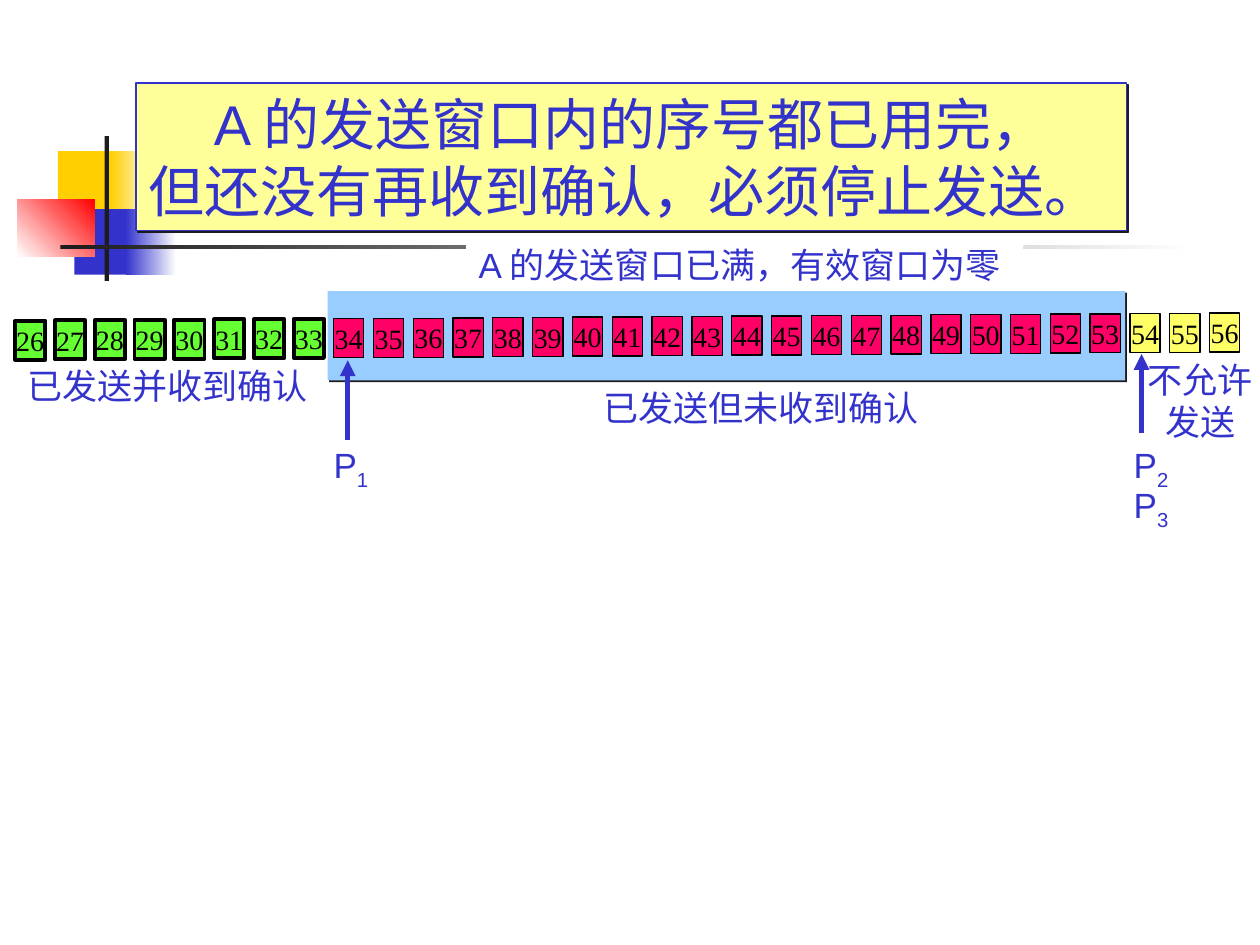
import lxml.etree
import pptx
import pptx.dml.color
import pptx.enum.shapes
import pptx.enum.text
import pptx.oxml
import pptx.oxml.ns
import pptx.util

COLORS = {
    "gold": "FFCF01", "blue": "3333CC", "red": "FF0000", "ink": "1C1C1C",
    "white": "FFFFFF", "black": "000000", "window": "99CCFF", "title": "FFFF99",
    "acked": "66FF33", "sent": "FF0066", "blocked": "FFFF66",
}
RGB = {name: pptx.dml.color.RGBColor.from_string(value) for name, value in COLORS.items()}
ALIGN = pptx.enum.text.PP_ALIGN
ANCHOR = pptx.enum.text.MSO_ANCHOR
qn = pptx.oxml.ns.qn

presentation = pptx.Presentation()
presentation.slide_width = pptx.util.Inches(10)
presentation.slide_height = pptx.util.Inches(7.5)
slide = presentation.slides.add_slide(presentation.slide_layouts[6])

# Grid of 100 columns by 75 rows
UNIT = presentation.slide_width / 100


def add_box(place, fill=None, fade=None, angle=0, line=None, weight=0.75):
    """Rectangle on the grid, plain or fading; a text box when it has no fill."""
    lengths = [round(value * UNIT) for value in place]
    if not fill:
        return slide.shapes.add_textbox(*lengths)
    shape = slide.shapes.add_shape(pptx.enum.shapes.MSO_SHAPE.RECTANGLE, *lengths)
    shape.shadow.inherit = False
    if fade:
        shape.fill.gradient()
        shape.fill.gradient_angle = angle
        for stop, color, position in zip(shape.fill.gradient_stops, (fill, fade), (0, 1)):
            stop.color.rgb = RGB[color]
            stop.position = position
    else:
        shape.fill.solid()
        shape.fill.fore_color.rgb = RGB[fill]
    if line:
        shape.line.color.rgb = RGB[line]
        shape.line.width = pptx.util.Pt(weight)
    else:
        shape.line.fill.background()
    return shape


def write(shape, lines, size=20, font="Arial", color="blue", align=ALIGN.CENTER,
          anchor=ANCHOR.TOP):
    """Unwrapped text; an underscore in a line starts a subscript."""
    frame = shape.text_frame
    frame.word_wrap = False
    frame.auto_size = pptx.enum.text.MSO_AUTO_SIZE.NONE
    frame.vertical_anchor = anchor
    for index, line in enumerate(lines):
        paragraph = frame.add_paragraph() if index else frame.paragraphs[0]
        paragraph.alignment = align
        paragraph.font.size = pptx.util.Pt(size)
        paragraph.font.name = font
        paragraph.font.color.rgb = RGB[color]
        for part, text in enumerate(line.split("_")):
            run = paragraph.add_run()
            run.text = text
            if part:
                run._r.get_or_add_rPr().set("baseline", "-25000")


# Corner ornament and rule
for place, fill, fade, angle in [
    ((4.6, 12, 4.8, 5.2), "gold", None, 0),
    ((8.8, 12, 3.6, 5.2), "gold", "white", 0),
    ((5.9, 16.6, 4.6, 5.2), "blue", None, 0),
    ((10, 16.6, 4, 5.2), "blue", "white", 0),
    ((1.4, 15.8, 6.1, 4.6), "white", "red", 45),
    ((8.3, 10.8, 0.35, 11.5), "ink", None, 0),
    ((4.8, 19.45, 90, 0.35), "ink", "white", 0),
]:
    add_box(place, fill, fade, angle)

# Labels around the window
for place, fill, lines, align in [
    ((90.1, 28, 10.3, 7.7), None, ["不允许", "发送"], ALIGN.CENTER),
    ((1.2, 28.4, 24.2, 4.4), "white", ["已发送并收到确认"], ALIGN.CENTER),
    ((37, 18.8, 44.2, 4.4), "white", ["A 的发送窗口已满，有效窗口为零"], ALIGN.LEFT),
    ((46.9, 30.2, 27, 4.4), None, ["已发送但未收到确认"], ALIGN.LEFT),
]:
    write(add_box(place, fill), lines, align=align)

# Send window
window = add_box((26, 23.1, 63.3, 7.1), "window")

# Sequence numbers: equal columns on a slightly rising row
FIRST, LAST = 26, 56
CELL_PITCH, CELL_RISE = 3.16, 0.02
for number in range(FIRST, LAST + 1):
    step = number - FIRST
    state = "acked" if number < 34 else "sent" if number < 54 else "blocked"
    cell = add_box((1.2 + step * CELL_PITCH, 25.45 - step * CELL_RISE, 2.4, 3.1), state,
                   line="black", weight=2.25 if state == "acked" else 0.75)
    write(cell, [str(number)], 16, "Times New Roman", "black", anchor=ANCHOR.MIDDLE)

# Pointer arrows
for column, bottom, top in [(27.6, 34.9, 28.6), (90.6, 34.4, 28.1)]:
    arrow = slide.shapes.add_connector(
        pptx.enum.shapes.MSO_CONNECTOR.STRAIGHT,
        *(round(value * UNIT) for value in (column, bottom, column, top)))
    arrow.line.color.rgb = RGB["blue"]
    arrow.line.width = pptx.util.Pt(3)
    lxml.etree.SubElement(arrow.line._get_or_add_ln(), qn("a:tailEnd"), type="triangle")
    lxml.etree.SubElement(arrow._element.spPr, qn("a:effectLst"))

# Pointer names
for left, top, name in [(25.5, 34.7, "P_1"), (89, 34.7, "P_2"), (89, 37.9, "P_3")]:
    write(add_box((left, top, 4.7, 4.8)), [name])

# Title
title = add_box((10.8, 6.6, 78.6, 11.7), "title", line="blue")
write(title, ["A 的发送窗口内的序号都已用完，", "但还没有再收到确认，必须停止发送。 "], 32)

# Hard shadows, 1.4 pt towards the lower right
for shape in (window, title):
    effects = shape._element.spPr.find(qn("a:effectLst"))
    shadow = lxml.etree.SubElement(effects, qn("a:outerShdw"), dist=str(pptx.util.Pt(1.4)),
                                   dir=str(45 * 60000), algn="ctr", rotWithShape="0")
    lxml.etree.SubElement(shadow, qn("a:srgbClr"), val=COLORS["ink"])

presentation.save("out.pptx")
